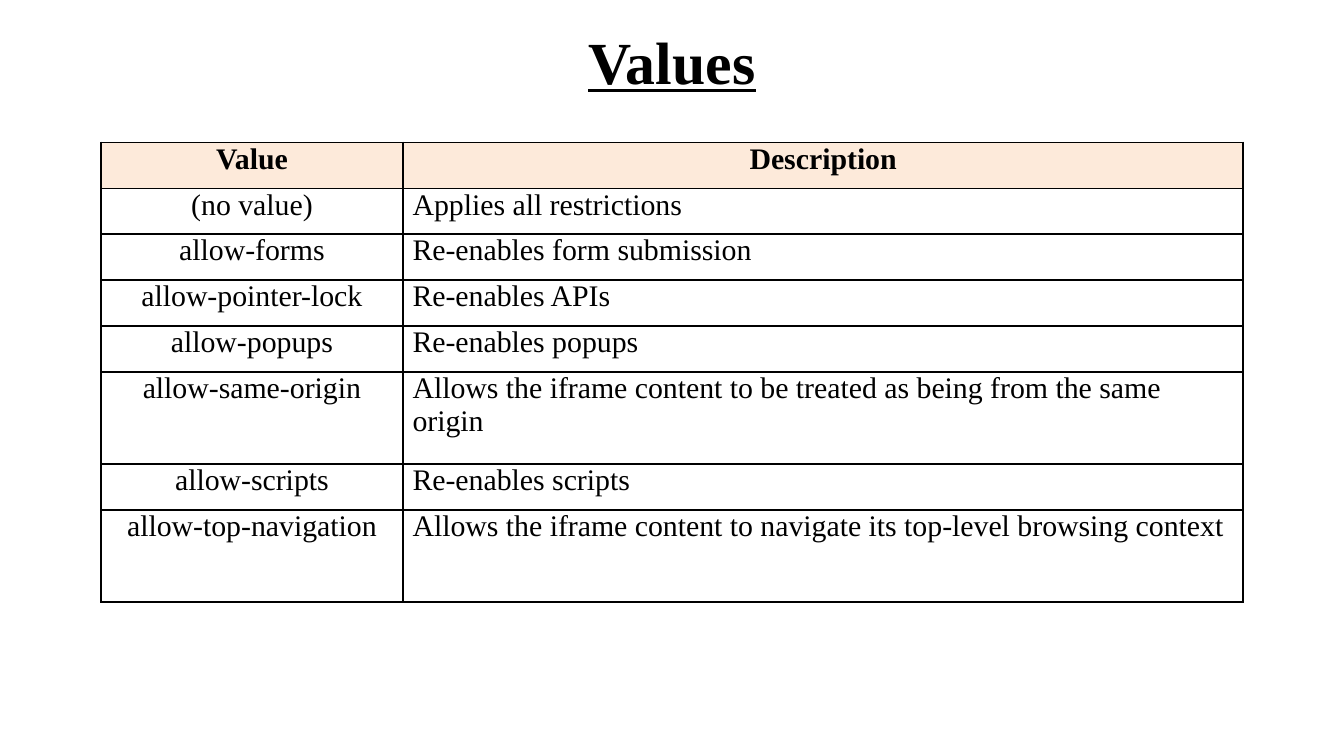
"""Build a slide with a table of sandbox attribute values and their descriptions."""
import pptx
import pptx.dml.color
import pptx.enum.text
import pptx.oxml
import pptx.oxml.ns
import pptx.util

Inches = pptx.util.Inches
ALIGN = pptx.enum.text.PP_ALIGN
ANCHOR = pptx.enum.text.MSO_ANCHOR

TITLE = "Values"
ROWS = [
    ("Value", "Description"),
    ("(no value)", "Applies all restrictions"),
    ("allow-forms", "Re-enables form submission"),
    ("allow-pointer-lock", "Re-enables APIs"),
    ("allow-popups", "Re-enables popups"),
    ("allow-same-origin", "Allows the iframe content to be treated as being from the same origin"),
    ("allow-scripts", "Re-enables scripts"),
    ("allow-top-navigation", "Allows the iframe content to navigate its top-level browsing context"),
]
SLIDE_WIDTH = 10
SLIDE_HEIGHT = SLIDE_WIDTH * 9 / 16
COLUMN_WIDTHS = [2.25, 6.25]
TABLE_HEIGHT = 3.42
TALL_ROWS = {"allow-same-origin", "allow-top-navigation"}
COLORS = {"text": "000000", "border": "000000", "header": "FDEADA"}
FONT = "Times New Roman"
TITLE_FORMAT = {"size": pptx.util.Pt(32), "bold": True, "underline": True}
HEADER_FORMAT = {"size": pptx.util.Pt(16), "bold": True}
BODY_FORMAT = {"size": pptx.util.Pt(16), "bold": False}
CELL_FORMAT = {
    "margin_left": Inches(0.07), "margin_right": Inches(0.07),
    "margin_top": 0, "margin_bottom": 0, "vertical_anchor": ANCHOR.TOP,
}


def color(name):
    return pptx.dml.color.RGBColor.from_string(COLORS[name])


def set_attributes(target, values):
    for name, value in values.items():
        setattr(target, name, value)


def write(frame, text, alignment, font_format):
    para = frame.paragraphs[0]
    para.alignment = alignment
    span = para.add_run()
    span.text = text
    set_attributes(span.font, {"name": FONT, **font_format})
    span.font.color.rgb = color("text")


def add_borders(cell):
    properties = cell._tc.get_or_add_tcPr()
    for side in ("lnL", "lnR", "lnT", "lnB"):
        properties.append(pptx.oxml.parse_xml(
            f'<a:{side} {pptx.oxml.ns.nsdecls("a")} w="{pptx.util.Pt(1)}"><a:solidFill>'
            f'<a:srgbClr val="{COLORS["border"]}"/></a:solidFill></a:{side}>'))


def add_title(page):
    box = page.shapes.add_textbox(Inches(0.5), Inches(-0.02), Inches(9), Inches(0.94))
    set_attributes(box.text_frame, {"word_wrap": True, "vertical_anchor": ANCHOR.MIDDLE})
    write(box.text_frame, TITLE, ALIGN.CENTER, TITLE_FORMAT)


def add_values_table(page):
    row_units = [2 if value in TALL_ROWS else 1 for value, _ in ROWS]
    unit_height = TABLE_HEIGHT / sum(row_units)
    table = page.shapes.add_table(
        len(ROWS), len(COLUMN_WIDTHS), Inches(0.75), Inches(1.06),
        Inches(sum(COLUMN_WIDTHS)), Inches(TABLE_HEIGHT)).table
    set_attributes(table, {"first_row": False, "horz_banding": False})
    for column, width in zip(table.columns, COLUMN_WIDTHS):
        column.width = Inches(width)
    for row_index, (texts, units) in enumerate(zip(ROWS, row_units)):
        table.rows[row_index].height = Inches(units * unit_height)
        is_header = row_index == 0
        for column_index, text in enumerate(texts):
            cell = table.cell(row_index, column_index)
            set_attributes(cell, CELL_FORMAT)
            add_borders(cell)
            if is_header:
                cell.fill.solid()
                cell.fill.fore_color.rgb = color("header")
            else:
                cell.fill.background()
            centered = is_header or column_index == 0
            write(cell.text_frame, text, ALIGN.CENTER if centered else ALIGN.LEFT,
                  HEADER_FORMAT if is_header else BODY_FORMAT)


def main():
    deck = pptx.Presentation()
    set_attributes(deck, {"slide_width": Inches(SLIDE_WIDTH), "slide_height": Inches(SLIDE_HEIGHT)})
    page = deck.slides.add_slide(deck.slide_layouts[6])
    add_title(page)
    add_values_table(page)
    deck.save("out.pptx")


if __name__ == "__main__":
    main()
